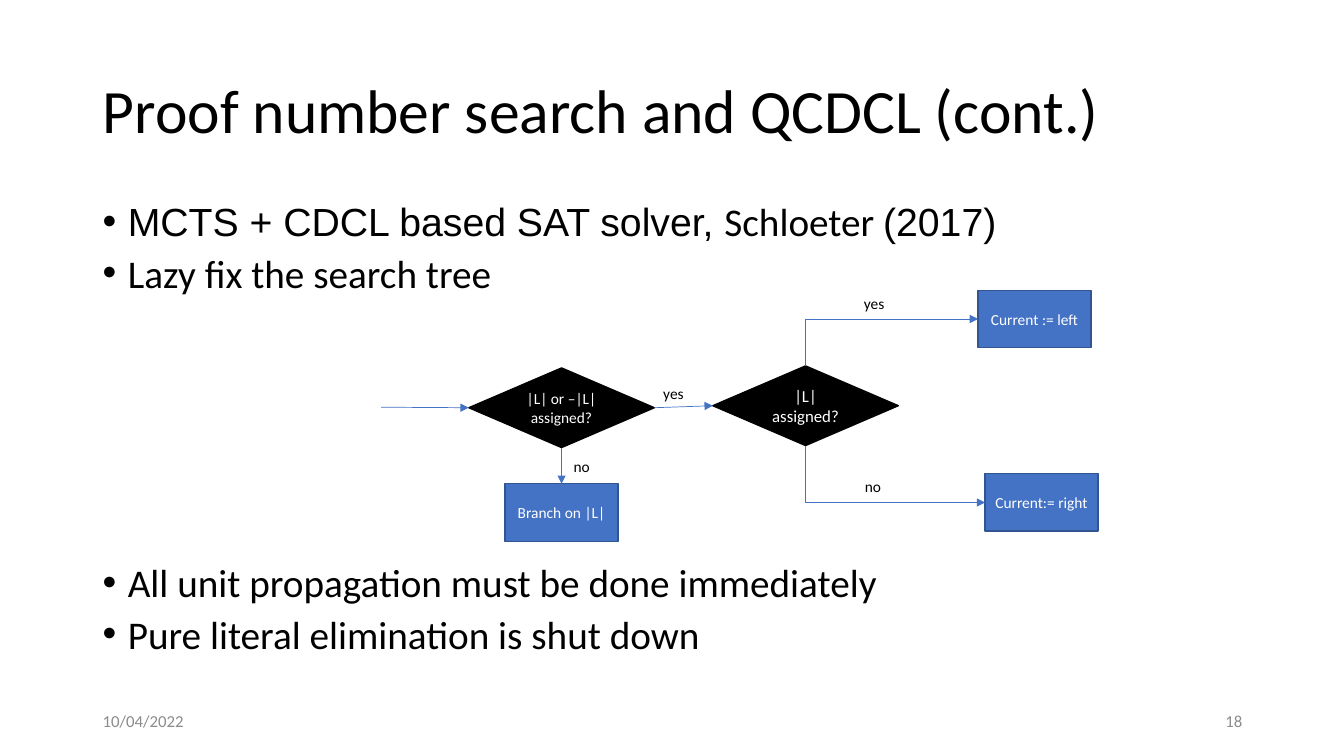
from dataclasses import dataclass

from lxml import etree
from pptx import Presentation
from pptx.dml.color import RGBColor
from pptx.enum.shapes import MSO_CONNECTOR, MSO_SHAPE
from pptx.enum.text import MSO_ANCHOR, PP_ALIGN
from pptx.oxml.ns import qn
from pptx.util import Inches, Pt

STRAIGHT, ELBOW = MSO_CONNECTOR.STRAIGHT, MSO_CONNECTOR.ELBOW
DECISION, RECTANGLE = MSO_SHAPE.FLOWCHART_DECISION, MSO_SHAPE.RECTANGLE
MIDDLE, TOP_ANCHOR = MSO_ANCHOR.MIDDLE, MSO_ANCHOR.TOP
LEFT_ALIGN, CENTER, RIGHT_ALIGN = PP_ALIGN.LEFT, PP_ALIGN.CENTER, PP_ALIGN.RIGHT
TOP, LEFT, BOTTOM, RIGHT = range(4)


@dataclass(frozen=True)
class Theme:
    """Colours, fonts and type sizes of the slide."""
    ink: RGBColor = RGBColor(0, 0, 0)
    paper: RGBColor = RGBColor(255, 255, 255)
    accent: RGBColor = RGBColor(0x44, 0x72, 0xC4)
    accent_edge: RGBColor = RGBColor(0x32, 0x54, 0x91)
    muted: RGBColor = RGBColor(0x8C, 0x8C, 0x8C)
    font: str = "Calibri"
    alt_font: str = "Arial"
    title: int = 44
    body: int = 28
    decision: int = 12
    label: int = 11
    footer: int = 12


THEME = Theme()


def add_run(paragraph, text, size, color, font=THEME.font):
    """Append one formatted run to a paragraph."""
    run = paragraph.add_run()
    run.text = text
    run.font.name = font
    run.font.size = Pt(size)
    run.font.color.rgb = color


def place(shape, left, top, width, height):
    """Move and size a shape in inches."""
    shape.left, shape.top = Inches(left), Inches(top)
    shape.width, shape.height = Inches(width), Inches(height)


def add_title(slide, box, text):
    """Fill the title placeholder."""
    title = slide.shapes.title
    place(title, *box)
    title.text_frame.vertical_anchor = MIDDLE
    paragraph = title.text_frame.paragraphs[0]
    paragraph.alignment = LEFT_ALIGN
    paragraph.line_spacing = 0.9
    add_run(paragraph, text, THEME.title, THEME.ink)


def add_bullets(slide, box, points):
    """Write bullet points, each a list of text and font pairs."""
    frame = slide.shapes.add_textbox(*map(Inches, box)).text_frame
    frame.word_wrap = True
    for index, point in enumerate(points):
        paragraph = frame.add_paragraph() if index else frame.paragraphs[0]
        paragraph.line_spacing = 0.8
        if index:
            paragraph.space_before = Pt(10)
        properties = paragraph._p.get_or_add_pPr()
        properties.set("marL", str(Inches(0.25)))
        properties.set("indent", str(-Inches(0.25)))
        etree.SubElement(properties, qn("a:buFont"), typeface=THEME.alt_font)
        etree.SubElement(properties, qn("a:buChar"), char="•")
        for text, font in point:
            add_run(paragraph, text, THEME.body, THEME.ink, font)


def add_text(slide, box, text, size, color, align=LEFT_ALIGN, anchor=TOP_ANCHOR):
    """Write a single line of text in a box."""
    frame = slide.shapes.add_textbox(*map(Inches, box)).text_frame
    frame.word_wrap = True
    frame.vertical_anchor = anchor
    frame.paragraphs[0].alignment = align
    add_run(frame.paragraphs[0], text, size, color)


def add_node(slide, kind, box, text, size, fill, edge):
    """Draw one flowchart node."""
    node = slide.shapes.add_shape(kind, *map(Inches, box))
    node.shadow.inherit = False
    node.fill.solid()
    node.fill.fore_color.rgb = fill
    node.line.color.rgb = edge
    node.line.width = Pt(1)
    frame = node.text_frame
    frame.word_wrap = True
    frame.vertical_anchor = MIDDLE
    frame.margin_left = frame.margin_right = Inches(0.05)
    frame.paragraphs[0].alignment = CENTER
    add_run(frame.paragraphs[0], text, size, THEME.paper)
    return node


def add_arrow(slide, target, side, source=None, source_side=None, start=(0, 0), kind=STRAIGHT):
    """Join a source node or a start point to a target side."""
    begin = tuple(map(Inches, start))
    arrow = slide.shapes.add_connector(kind, *begin, *begin)
    if source is not None:
        arrow.begin_connect(source, source_side)
    arrow.end_connect(target, side)
    arrow.line.color.rgb = THEME.accent
    arrow.line.width = Pt(0.5)
    etree.SubElement(arrow.line._get_or_add_ln(), qn("a:tailEnd"), type="triangle")
    etree.SubElement(arrow.element.spPr, qn("a:effectLst"))
    return arrow


def add_corner_arrow(slide, source, source_side, target):
    """Leave a node vertically, turn once and enter the target's left side."""
    arrow = add_arrow(slide, target, LEFT, source, source_side, kind=ELBOW)
    arrow.element.spPr.find(qn("a:prstGeom")).set("prst", "bentConnector2")
    center_x = (arrow.begin_x + arrow.end_x) // 2
    center_y = (arrow.begin_y + arrow.end_y) // 2
    width, height = arrow.height, arrow.width
    arrow.left, arrow.top = center_x - width // 2, center_y - height // 2
    arrow.width, arrow.height = width, height
    arrow.element.flipH = True
    arrow.element.flipV = source_side == TOP
    arrow.rotation = 90 if source_side == TOP else 270


def add_flowchart(slide, left, top):
    """Draw the search-tree decisions from the given corner."""
    def decision(x, y, text, size):
        return add_node(slide, DECISION, (left + x, top + y, 1.84, 0.79),
                        text, size, THEME.ink, THEME.ink)

    def action(x, y, text):
        return add_node(slide, RECTANGLE, (left + x, top + y, 1.12, 0.57),
                        text, THEME.label, THEME.accent, THEME.accent_edge)

    either_assigned = decision(0.87, 0.78, "|L| or –|L| assigned?", THEME.label)
    literal_assigned = decision(3.29, 0.76, "|L| assigned?", THEME.decision)
    go_left = action(5.92, 0.01, "Current := left")
    go_right = action(5.99, 1.83, "Current:= right")
    branch = action(1.23, 1.93, "Branch on |L|")

    add_arrow(slide, either_assigned, LEFT, start=(left, top + 1.17))
    add_arrow(slide, literal_assigned, LEFT, either_assigned, RIGHT)
    add_arrow(slide, branch, TOP, either_assigned, BOTTOM)
    add_corner_arrow(slide, literal_assigned, TOP, go_left)
    add_corner_arrow(slide, literal_assigned, BOTTOM, go_right)

    answers = ((4.69, 0, "yes"), (4.7, 1.81, "no"), (2.7, 0.89, "yes"), (1.81, 1.62, "no"))
    for x, y, answer in answers:
        add_text(slide, (left + x, top + y, 0.87, 0.26), answer, THEME.label, THEME.ink)


def add_footer(slide, left, top, width, date, number):
    """Write the date and the slide number at the two ends of the footer."""
    add_text(slide, (left, top, 3, 0.4), date, THEME.footer, THEME.muted, anchor=MIDDLE)
    add_text(slide, (left + width - 3, top, 3, 0.4), number, THEME.footer, THEME.muted,
             RIGHT_ALIGN, MIDDLE)


def main():
    """Build and save the slide."""
    deck = Presentation()
    deck.slide_width, deck.slide_height = Inches(13.33), Inches(7.5)
    slide = deck.slides.add_slide(deck.slide_layouts[5])
    margin, width = 0.92, 11.5
    add_title(slide, (margin, 0.4, width, 1.45), "Proof number search and QCDCL (cont.)")
    add_bullets(slide, (margin, 2, width, 1), [
        [("MCTS + CDCL based SAT solver, ", THEME.alt_font), ("Schloeter ", THEME.font),
         ("(2017)", THEME.alt_font)],
        [("Lazy fix the search tree", THEME.font)],
    ])
    add_flowchart(slide, 3.78, 2.87)
    add_bullets(slide, (margin, 5.58, width, 1.18), [
        [("All unit propagation must be done immediately", THEME.font)],
        [("Pure literal elimination is shut down", THEME.font)],
    ])
    add_footer(slide, margin, 6.95, width, "10/04/2022", "18")
    deck.save("out.pptx")


if __name__ == "__main__":
    main()
